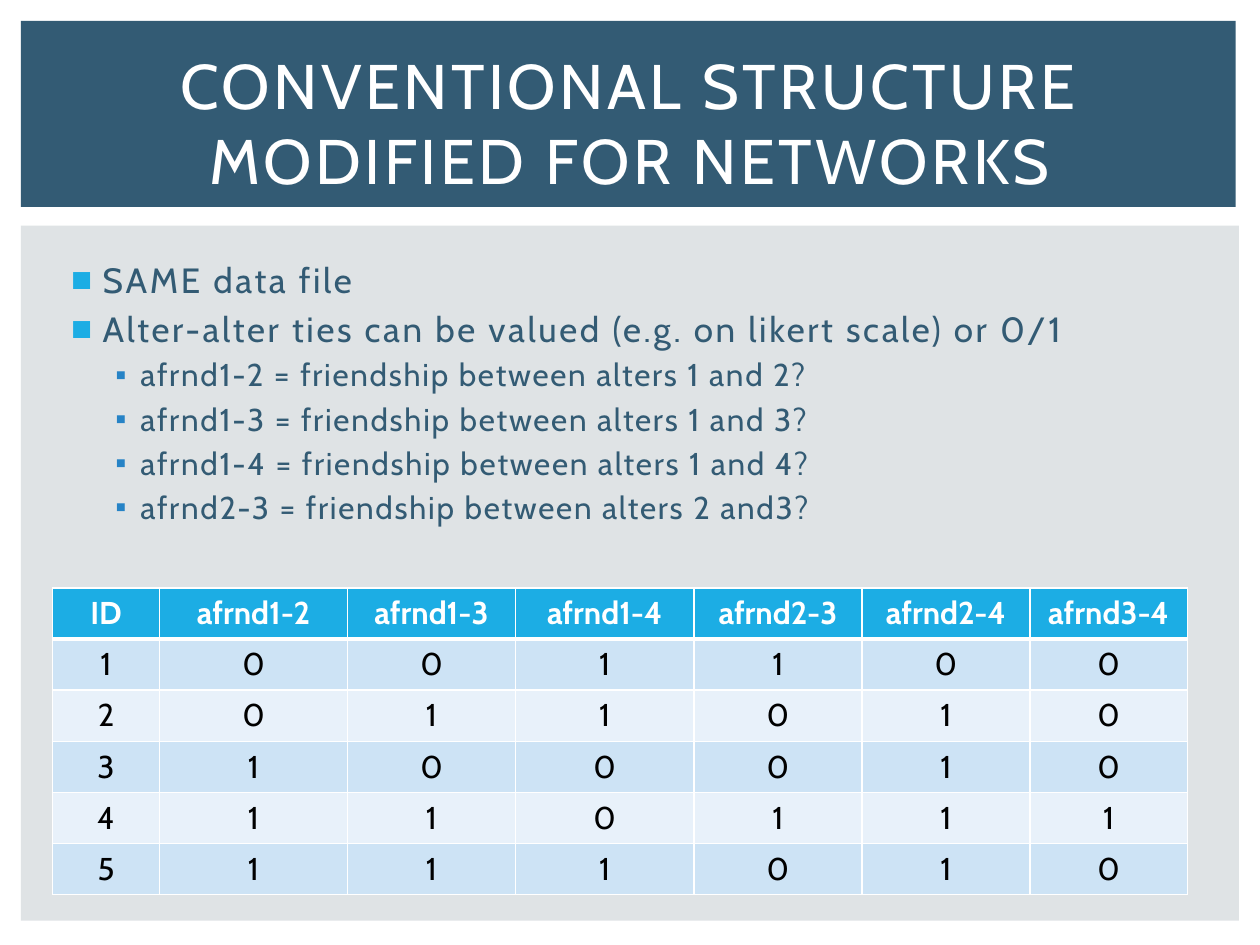
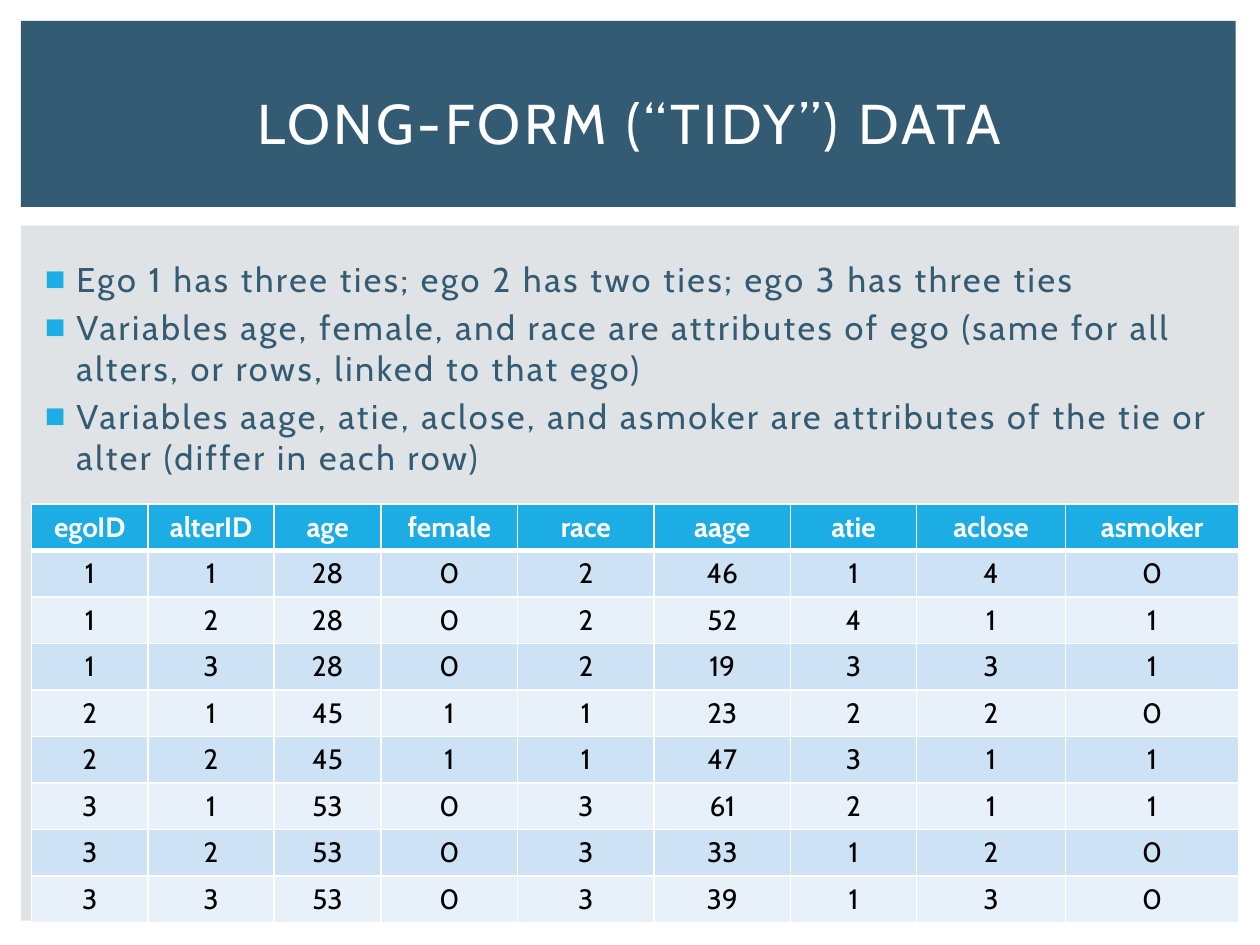
from dataclasses import dataclass

from pptx import Presentation
from pptx import util as u
from pptx.dml.color import RGBColor
from pptx.enum import shapes, text
from pptx.oxml import parse_xml
from pptx.oxml.ns import nsdecls


@dataclass(frozen=True)
class Theme:
    font: str = "Cabin"
    band: str = "335B74"
    panel: str = "DFE3E5"
    accent: str = "1CADE4"
    sub_accent: str = "2683C6"
    stripes: tuple = ("CDE3F5", "E8F1FA")
    white: str = "FFFFFF"
    black: str = "000000"
    sub_size: float = 18
    title_tracking: float = 2
    body_tracking: float = 1.5
    sub_tracking: float = 1
    space_share: float = 0.2
    rule: float = 1
    header_rule: float = 3


COLUMNS, ROWS = 120, 90
PANEL_AREA = (2, 21.5, 116, 66.2)
BAND_AREA = (2, 2, 115.7, 17.7)
TITLE_AREA = (5, 4.7, 110, 13.8)


def apply(target, values):
    for name, value in values.items():
        setattr(target, name, value)


class SlideBuilder:
    def __init__(self, deck, theme):
        self.deck = deck
        self.theme = theme
        self.page = None

    def across(self, columns):
        return round(self.deck.slide_width * columns / COLUMNS)

    def down(self, rows):
        return round(self.deck.slide_height * rows / ROWS)

    def place(self, left, top, width, height):
        return self.across(left), self.down(top), self.across(width), self.down(height)

    def new_page(self, title, title_size):
        self.page = self.deck.slides.add_slide(self.deck.slide_layouts[5])
        self.block(PANEL_AREA, self.theme.panel)
        self.block(BAND_AREA, self.theme.band)
        self.title(title, title_size)

    def block(self, area, color):
        box = self.page.shapes.add_shape(shapes.MSO_SHAPE.RECTANGLE, *self.place(*area))
        box.shadow.inherit = False
        box.fill.solid()
        box.fill.fore_color.rgb = RGBColor.from_string(color)
        box.line.fill.background()

    def add_span(self, para, words, size, color, bold=False, tracking=0):
        span = para.add_run()
        span.text = words
        apply(span.font, {"name": self.theme.font, "size": u.Pt(size), "bold": bold})
        span.font.color.rgb = RGBColor.from_string(color)
        if tracking:
            span._r.get_or_add_rPr().set("spc", str(round(tracking * 100)))

    def title(self, words, size):
        box = self.page.shapes.title
        left, top, width, height = self.place(*TITLE_AREA)
        apply(box, {"left": left, "top": top, "width": width, "height": height})
        apply(box.text_frame, {
            "word_wrap": True,
            "auto_size": text.MSO_AUTO_SIZE.NONE,
            "vertical_anchor": text.MSO_ANCHOR.MIDDLE,
        })
        para = box.text_frame.paragraphs[0]
        para.alignment = text.PP_ALIGN.CENTER
        self.add_span(para, words, size, self.theme.white, tracking=self.theme.title_tracking)
        self.page.shapes._spTree.append(box._element)

    def bullets(self, area, size, items):
        theme = self.theme
        levels = (
            (size, theme.body_tracking, "■", theme.accent, 0.3, 0.25),
            (theme.sub_size, theme.sub_tracking, "▪", theme.sub_accent, 0.6, 0.2),
        )
        frame = self.page.shapes.add_textbox(*self.place(*area)).text_frame
        frame.word_wrap = True
        for index, (level, words) in enumerate(items):
            para = frame.add_paragraph() if index else frame.paragraphs[0]
            points, tracking, mark, color, margin, hang = levels[level]
            apply(para, {"level": level, "space_before": u.Pt(points * theme.space_share)})
            self.add_span(para, words, points, theme.band, tracking=tracking)
            self.mark(para, mark, color, margin, hang)

    def mark(self, para, mark, color, margin, hang):
        props = para._p.get_or_add_pPr()
        props.set("marL", str(u.Inches(margin)))
        props.set("indent", str(-u.Inches(hang)))
        for body in (
            f'<a:buClr {nsdecls("a")}><a:srgbClr val="{color}"/></a:buClr>',
            f'<a:buFont {nsdecls("a")} typeface="Arial"/>',
            f'<a:buChar {nsdecls("a")} char="{mark}"/>',
        ):
            props.append(parse_xml(body))

    def table(self, left, top, widths, row_height, size, header, records):
        theme = self.theme
        rows = [header, *records]
        area = self.place(left, top, sum(widths), row_height * len(rows))
        grid = self.page.shapes.add_table(len(rows), len(header), *area).table
        for column, width in zip(grid.columns, widths):
            column.width = self.across(width)
        for index, (row, values) in enumerate(zip(grid.rows, rows)):
            row.height = self.down(row_height)
            is_header = index == 0
            fill = theme.accent if is_header else theme.stripes[(index - 1) % 2]
            color = theme.white if is_header else theme.black
            for cell, value in zip(row.cells, values):
                self.borders(cell, index)
                cell.fill.solid()
                cell.fill.fore_color.rgb = RGBColor.from_string(fill)
                para = cell.text_frame.paragraphs[0]
                para.alignment = text.PP_ALIGN.CENTER
                self.add_span(para, str(value), size, color, bold=is_header)

    def borders(self, cell, row_index):
        theme = self.theme
        heavy_side = {0: "B", 1: "T"}.get(row_index)
        props = cell._tc.get_or_add_tcPr()
        for side in "LRTB":
            width = u.Pt(theme.header_rule if side == heavy_side else theme.rule)
            props.append(parse_xml(
                f'<a:ln{side} {nsdecls("a")} w="{width}"><a:solidFill>'
                f'<a:srgbClr val="{theme.white}"/></a:solidFill></a:ln{side}>'
            ))


def network_structure(builder):
    builder.new_page("CONVENTIONAL STRUCTURE MODIFIED FOR NETWORKS", 36)
    builder.bullets((5, 24, 110, 30), 20, [
        (0, "SAME data file"),
        (0, "Alter-alter ties can be valued (e.g. on likert scale) or 0/1"),
        (1, "afrnd1-2 = friendship between alters 1 and 2?"),
        (1, "afrnd1-3 = friendship between alters 1 and 3?"),
        (1, "afrnd1-4 = friendship between alters 1 and 4?"),
        (1, "afrnd2-3 = friendship between alters 2 and3?"),
    ])
    builder.table(
        5, 56, (10.2, 17.9, 16, 17, 16, 16, 15), 4.87, 18,
        ("ID", "afrnd1-2", "afrnd1-3", "afrnd1-4", "afrnd2-3", "afrnd2-4", "afrnd3-4"),
        [
            (1, 0, 0, 1, 1, 0, 0),
            (2, 0, 1, 1, 0, 1, 0),
            (3, 1, 0, 0, 0, 1, 0),
            (4, 1, 1, 0, 1, 1, 1),
            (5, 1, 1, 1, 0, 1, 0),
        ],
    )


def long_form(builder):
    builder.new_page("LONG-FORM (“TIDY”) DATA", 32)
    builder.bullets((2.5, 24, 115, 24), 19.6, [
        (0, "Ego 1 has three ties; ego 2 has two ties; ego 3 has three ties"),
        (0, "Variables age, female, and race are attributes of ego "
            "(same for all alters, or rows, linked to that ego)"),
        (0, "Variables aage, atie, aclose, and asmoker are attributes of the tie "
            "or alter (differ in each row)"),
    ])
    builder.table(
        3, 48, (11.1, 12, 10.2, 13, 13, 13, 12, 14.2, 16.5), 4.43, 16,
        ("egoID", "alterID", "age", "female", "race", "aage", "atie", "aclose", "asmoker"),
        [
            (1, 1, 28, 0, 2, 46, 1, 4, 0),
            (1, 2, 28, 0, 2, 52, 4, 1, 1),
            (1, 3, 28, 0, 2, 19, 3, 3, 1),
            (2, 1, 45, 1, 1, 23, 2, 2, 0),
            (2, 2, 45, 1, 1, 47, 3, 1, 1),
            (3, 1, 53, 0, 3, 61, 2, 1, 1),
            (3, 2, 53, 0, 3, 33, 1, 2, 0),
            (3, 3, 53, 0, 3, 39, 1, 3, 0),
        ],
    )


def main():
    deck = Presentation()
    apply(deck, {"slide_width": u.Inches(10), "slide_height": u.Inches(7.5)})
    builder = SlideBuilder(deck, Theme())
    network_structure(builder)
    long_form(builder)
    deck.save("out.pptx")


if __name__ == "__main__":
    main()
